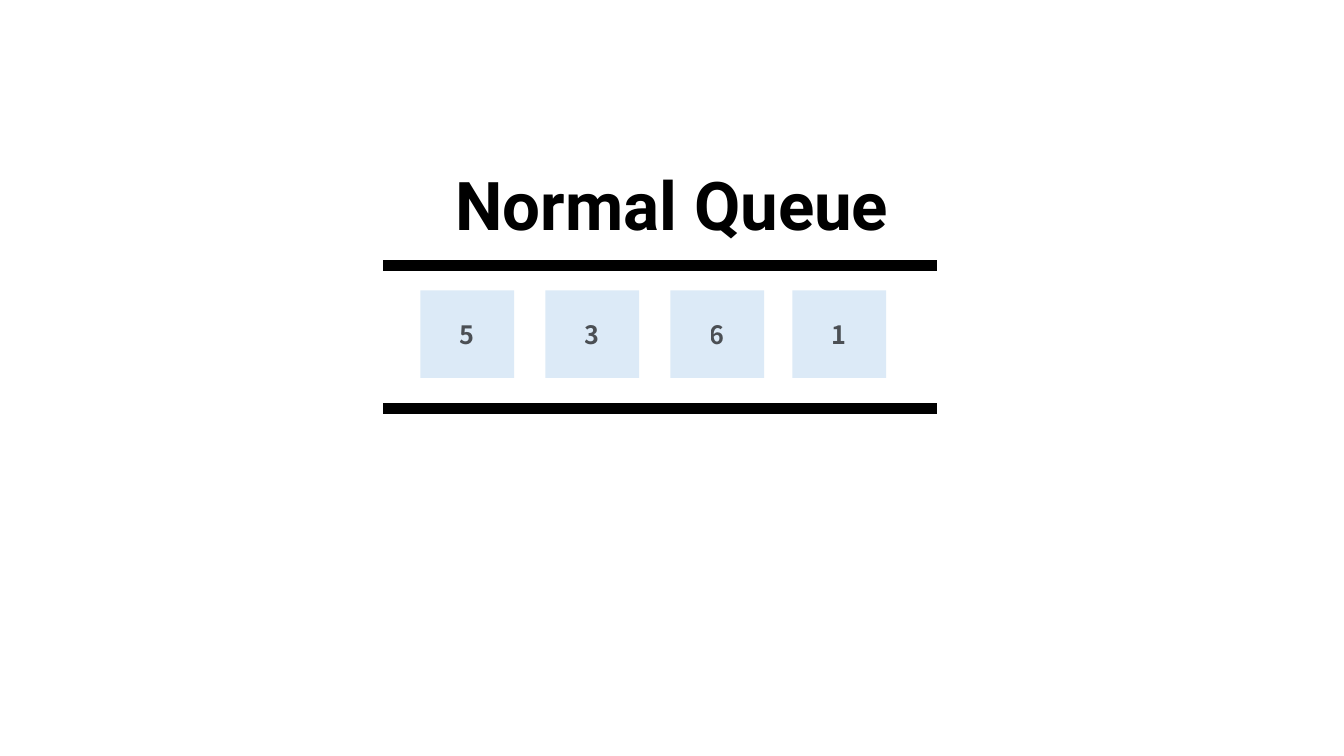
from lxml.etree import SubElement
from pptx import Presentation
from pptx.dml.color import RGBColor
from pptx.enum.shapes import MSO_CONNECTOR, MSO_SHAPE
from pptx.enum.text import MSO_ANCHOR, MSO_AUTO_SIZE, PP_ALIGN
from pptx.oxml.ns import qn
from pptx.util import Inches, Pt

SLIDE_WIDTH, SLIDE_HEIGHT = Inches(13.33), Inches(7.5)
COLORS = {"ink": "000000", "item": "DCEAF7"}
RAIL_LEFT, RAIL_RIGHT = 28.5, 69.7
RAIL_ROWS = (35.07, 54)
ITEM_TOP, ITEM_WIDTH, ITEM_HEIGHT = 38.4, 6.98, 11.6
# The last item sits slightly closer to its neighbour.
QUEUE_ITEMS = (("5", 31.28), ("3", 40.58), ("6", 49.88), ("1", 58.96))


def color(name):
    return RGBColor.from_string(COLORS[name])


def across(share):
    """Turn a percentage of the slide width into a length."""
    return round(SLIDE_WIDTH * share / 100)


def down(share):
    """Turn a percentage of the slide height into a length."""
    return round(SLIDE_HEIGHT * share / 100)


def write_centered(shape, text, font, size, anchor):
    frame = shape.text_frame
    frame.word_wrap = True
    frame.vertical_anchor = anchor
    para = frame.paragraphs[0]
    para.alignment = PP_ALIGN.CENTER
    span = para.add_run()
    span.text = text
    span.font.name = font
    span.font.size = Pt(size)
    span.font.bold = True
    span.font.color.rgb = color("ink")
    for script in ("a:ea", "a:cs"):
        SubElement(span.font._element, qn(script), typeface=font)
    return span


def set_opacity(span, percent):
    fill_color = span.font._element.find(qn("a:solidFill"))[0]
    SubElement(fill_color, qn("a:alpha"), val=str(percent * 1000))


def add_heading(page, text):
    title = page.shapes.title
    title.left, title.top = across(29.4), down(20.93)
    title.width, title.height = across(41.2), down(12.13)
    write_centered(title, text, "Roboto", 48, MSO_ANCHOR.TOP)
    title.text_frame.auto_size = MSO_AUTO_SIZE.SHAPE_TO_FIT_TEXT


def add_rail(page, row):
    rail = page.shapes.add_connector(
        MSO_CONNECTOR.STRAIGHT,
        across(RAIL_LEFT), down(row), across(RAIL_RIGHT), down(row))
    rail.line.color.rgb = color("ink")
    rail.line.width = Pt(7.75)
    SubElement(rail._element.spPr, qn("a:effectLst"))


def add_item(page, value, left):
    box = page.shapes.add_shape(
        MSO_SHAPE.RECTANGLE,
        across(left), down(ITEM_TOP), across(ITEM_WIDTH), down(ITEM_HEIGHT))
    box.shadow.inherit = False
    box.fill.solid()
    box.fill.fore_color.rgb = color("item")
    box.line.fill.background()
    span = write_centered(box, value, "Noto Sans CJK KR", 18, MSO_ANCHOR.MIDDLE)
    set_opacity(span, 66)


def main():
    deck = Presentation()
    deck.slide_width, deck.slide_height = SLIDE_WIDTH, SLIDE_HEIGHT
    page = deck.slides.add_slide(deck.slide_layouts.get_by_name("Title Only"))
    add_heading(page, "Normal Queue")
    for row in RAIL_ROWS:
        add_rail(page, row)
    for value, left in QUEUE_ITEMS:
        add_item(page, value, left)
    deck.save("out.pptx")


if __name__ == "__main__":
    main()
